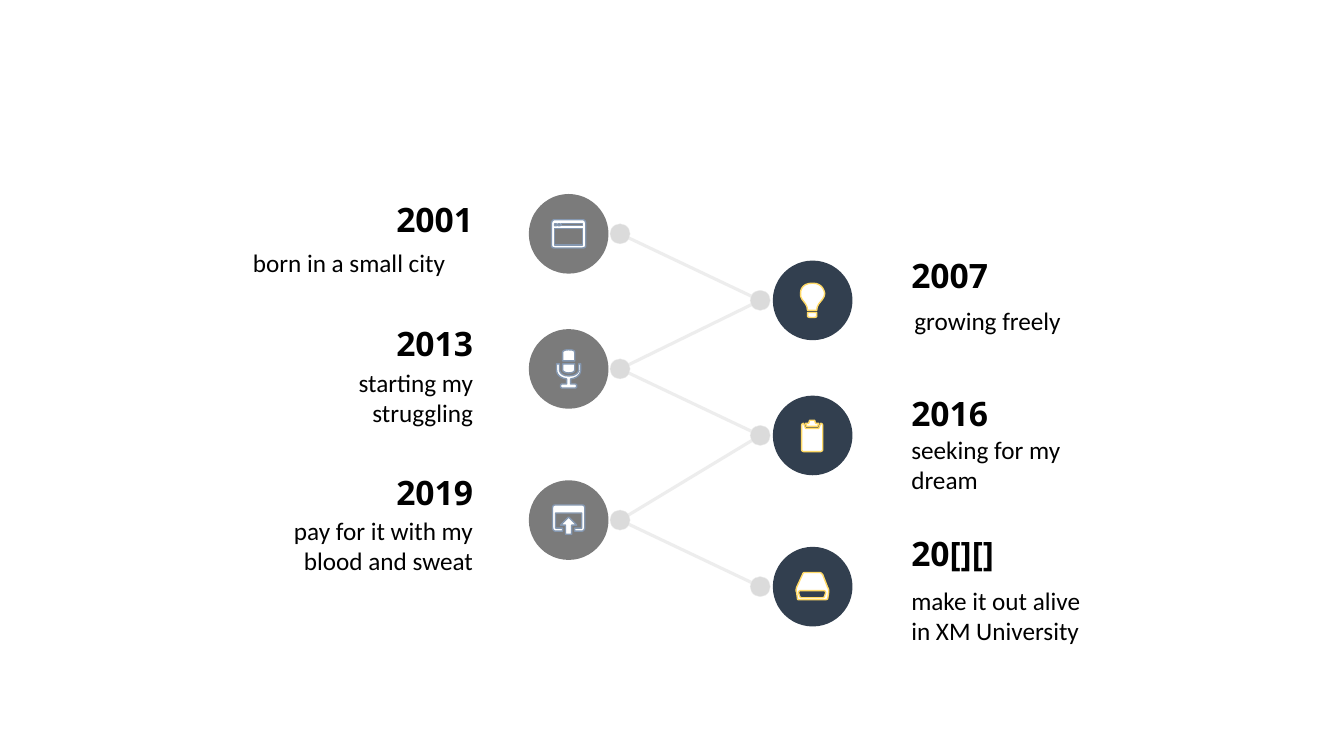
from itertools import pairwise
from lxml import etree
from pptx import Presentation
from pptx.dml.color import RGBColor
from pptx.enum.shapes import MSO_CONNECTOR, MSO_SHAPE
from pptx.enum.text import MSO_AUTO_SIZE, PP_ALIGN
from pptx.oxml.ns import qn
from pptx.util import Inches, Pt

GREY, NAVY = "7B7B7B", "323F4F"
BLUE_EDGE, GOLD_EDGE = "8497B0", "FFD966"
PALE, DOT, WHITE, BLACK = "EDEDED", "DBDBDB", "FFFFFF", "000000"
DISC_SIZE, DOT_SIZE = 0.79, 0.2
CURVE_STEPS = 6

# Icon outlines in hundredths of an inch around the disc centre;
# each entry is one shape, M starts a contour, L a line, C a Bezier curve
WINDOW = [
    "M 14 -8 L -7 -8 L -7 -10 L 14 -10 "
    "M 14 11 L -14 11 L -14 -5 L 14 -5 "
    "M -14 -9 C -14 -10 -14 -10 -13 -10 C -12 -10 -12 -10 -12 -9 "
    "C -12 -8 -12 -8 -13 -8 C -14 -8 -14 -8 -14 -9 "
    "M -9 -10 C -9 -10 -8 -10 -8 -9 C -8 -8 -9 -8 -9 -8 "
    "C -10 -8 -11 -8 -11 -9 C -11 -10 -10 -10 -9 -10 "
    "M 14 -14 L -14 -14 C -16 -14 -17 -12 -17 -10 L -17 11 C -17 13 -16 14 -14 14 "
    "L 14 14 C 16 14 17 13 17 11 L 17 -10 C 17 -12 16 -14 14 -14",
]
BULB = [
    "M -5 16 C -4 17 -2 17 0 17 C 2 17 3 17 4 16 L 4 12 L -5 12",
    "M 4 10 C 4 2 12 0 12 -7 C 11 -12 8 -17 0 -17 "
    "C -9 -17 -12 -12 -12 -7 C -13 0 -5 2 -5 10",
]
MICROPHONE = [
    "M 12 -5 L 10 -5 L 10 1 C 10 3 8 7 0 7 C -7 7 -9 3 -9 1 L -9 -5 L -12 -5 L -12 1 "
    "C -12 5 -9 9 -2 10 L -2 15 L -7 15 L -8 16 L -8 18 L -7 19 L 7 19 L 8 18 "
    "L 8 16 L 7 15 L 2 15 L 2 10 C 9 9 12 5 12 1",
    "M 0 4 C 5 4 6 2 6 1 L 6 -5 L -6 -5 L -6 1 C -6 2 -4 4 0 4",
    "M 6 -16 C 6 -18 5 -19 0 -19 C -4 -19 -6 -18 -6 -16 L -6 -8 L 6 -8",
]
CLIPBOARD = [
    "M 8 -12 L 6 -7 L -7 -7 L -9 -12 C -10 -12 -11 -11 -11 -10 L -11 14 "
    "C -11 15 -10 16 -9 16 L 8 16 C 9 16 10 15 10 14 L 10 -10 C 10 -11 9 -12 8 -12",
    "M 5 -9 L 6 -12 L 3 -12 L 2 -15 L -3 -15 L -4 -12 L -7 -12 L -6 -9",
]
UPLOAD = [
    "M 13 -15 L -13 -15 C -15 -15 -16 -14 -16 -12 L -16 7 C -16 9 -15 11 -13 11 "
    "L -6 11 L -6 8 L -13 8 L -13 -7 L 13 -7 L 13 8 L 6 8 L 6 11 L 13 11 "
    "C 15 11 16 9 16 7 L 16 -12 C 16 -14 15 -15 13 -15",
    "M 0 -3 L -8 5 L -3 5 L -3 14 L 3 14 L 3 5 L 8 5",
]
DRIVE = [
    "M 13 6 L 12 9 C 12 10 11 11 10 11 L -11 11 C -12 11 -13 10 -13 9 L -14 6 "
    "C -14 5 -13 4 -12 4 L 11 4 C 12 4 13 5 13 6 "
    "M 15 1 L 10 -12 C 9 -13 8 -14 7 -14 L -8 -14 C -9 -14 -10 -13 -10 -12 L -16 1 "
    "C -16 2 -17 4 -16 5 L -15 12 C -15 13 -14 13 -13 13 L 12 13 "
    "C 13 13 14 13 15 12 L 16 5 C 16 4 16 2 15 1",
]

# Side: disc colour, icon edge, disc centre x, dot centre x, year left, alignment
SIDES = {
    "left": (GREY, BLUE_EDGE, 5.64, 6.15, 3.7, PP_ALIGN.RIGHT),
    "right": (NAVY, GOLD_EDGE, 8.06, 7.54, 8.94, PP_ALIGN.LEFT),
}
# Side, centre y, icon, year, year top, event, event left, top, width, height
MILESTONES = [
    ("left", 2.32, WINDOW, "2001", 1.92, "born in a small city", 2.41, 2.4, 2.67, 0.4),
    ("right", 2.98, BULB, "2007", 2.48, "growing freely", 8.97, 2.98, 2.45, 0.4),
    ("left", 3.66, MICROPHONE, "2013", 3.15, "starting my struggling", 2.69, 3.59, 2.1, 0.71),
    ("right", 4.32, CLIPBOARD, "2016", 3.85, "seeking for my dream", 8.94, 4.26, 1.71, 0.71),
    ("left", 5.16, UPLOAD, "2019", 4.63, "pay for it with my blood and sweat", 2.41, 5.06, 2.38, 0.71),
    ("right", 5.82, DRIVE, "20[][]", 5.24, "make it out alive in XM University", 8.94, 5.76, 2.1, 0.71),
]


def color(value):
    return RGBColor.from_string(value)


def outline_contours(outline):
    """Turn an outline into contours of points, with curves flattened."""
    contours = []
    for contour in outline.split("M")[1:]:
        points = []
        for segment in contour.replace("L", "|L").replace("C", "|C").split("|"):
            numbers = [float(word) for word in segment.split() if word not in "LC"]
            corners = list(zip(numbers[::2], numbers[1::2]))
            if len(corners) == 1:
                points += corners
                continue
            curve = [points[-1]] + corners
            for step in range(1, CURVE_STEPS + 1):
                t = step / CURVE_STEPS
                weights = ((1 - t) ** 3, 3 * t * (1 - t) ** 2, 3 * t * t * (1 - t), t ** 3)
                points.append(tuple(sum(w * p[axis] for w, p in zip(weights, curve))
                                    for axis in (0, 1)))
        contours.append(points)
    return contours


class TimelineSlide:
    def __init__(self, slide):
        self.shapes = slide.shapes

    def paint(self, shape, fill, line=None, width=1):
        shape.shadow.inherit = False
        shape.fill.solid()
        shape.fill.fore_color.rgb = color(fill)
        if line:
            shape.line.color.rgb = color(line)
            shape.line.width = Pt(width)
        else:
            shape.line.fill.background()

    def circle(self, kind, x, y, size, fill, line=None, width=1):
        shape = self.shapes.add_shape(kind, Inches(x - size / 2), Inches(y - size / 2),
                                      Inches(size), Inches(size))
        self.paint(shape, fill, line, width)

    def link(self, start, end):
        connector = self.shapes.add_connector(
            MSO_CONNECTOR.STRAIGHT, *(Inches(length) for length in start + end))
        connector.line.color.rgb = color(PALE)
        connector.line.width = Pt(2.25)
        etree.SubElement(connector._element.spPr, qn("a:effectLst"))

    def icon(self, outlines, x, y, edge):
        for outline in outlines:
            builder = None
            for contour in outline_contours(outline):
                points = [(Inches(x + dx / 100), Inches(y + dy / 100)) for dx, dy in contour]
                if builder is None:
                    builder = self.shapes.build_freeform(*points[0], scale=1.0)
                else:
                    builder.move_to(*points[0])
                builder.add_line_segments(points[1:], close=True)
            self.paint(builder.convert_to_shape(), WHITE, edge)

    def text(self, words, box, font, size, align, bold=False, wrap=True):
        text_box = self.shapes.add_textbox(*(Inches(length) for length in box))
        frame = text_box.text_frame
        frame.text = words
        frame.word_wrap = wrap
        frame.auto_size = MSO_AUTO_SIZE.SHAPE_TO_FIT_TEXT
        paragraph = frame.paragraphs[0]
        paragraph.alignment = align
        style = paragraph.runs[0].font
        style.name, style.size, style.bold = font, Pt(size), bold
        style.color.rgb = color(BLACK)


presentation = Presentation()
presentation.slide_width, presentation.slide_height = Inches(13.33), Inches(7.5)
timeline = TimelineSlide(presentation.slides.add_slide(presentation.slide_layouts[6]))

# Zigzag links between neighbouring milestones
dots = [(SIDES[side][3], y) for side, y, *_ in MILESTONES]
for start, end in pairwise(dots):
    timeline.link(start, end)

# Dots, discs, icons and texts
for dot, milestone in zip(dots, MILESTONES):
    side, y, icon, year, year_top, event, *event_box = milestone
    fill, edge, disc_x, _, year_left, align = SIDES[side]
    timeline.circle(MSO_SHAPE.OVAL, *dot, DOT_SIZE, DOT, PALE, 0.25)
    timeline.circle(MSO_SHAPE.FLOWCHART_CONNECTOR, disc_x, y, DISC_SIZE, fill)
    timeline.icon(icon, disc_x, y, edge)
    year_width = 1.2 if "[" in year else 1.09
    timeline.text(year, (year_left, year_top, year_width, 0.5), "Open Sans", 24, align,
                  bold=True, wrap=False)
    event_align = PP_ALIGN.LEFT if icon is WINDOW else align
    timeline.text(event, event_box, "Calibri", 18, event_align)

presentation.save("out.pptx")
